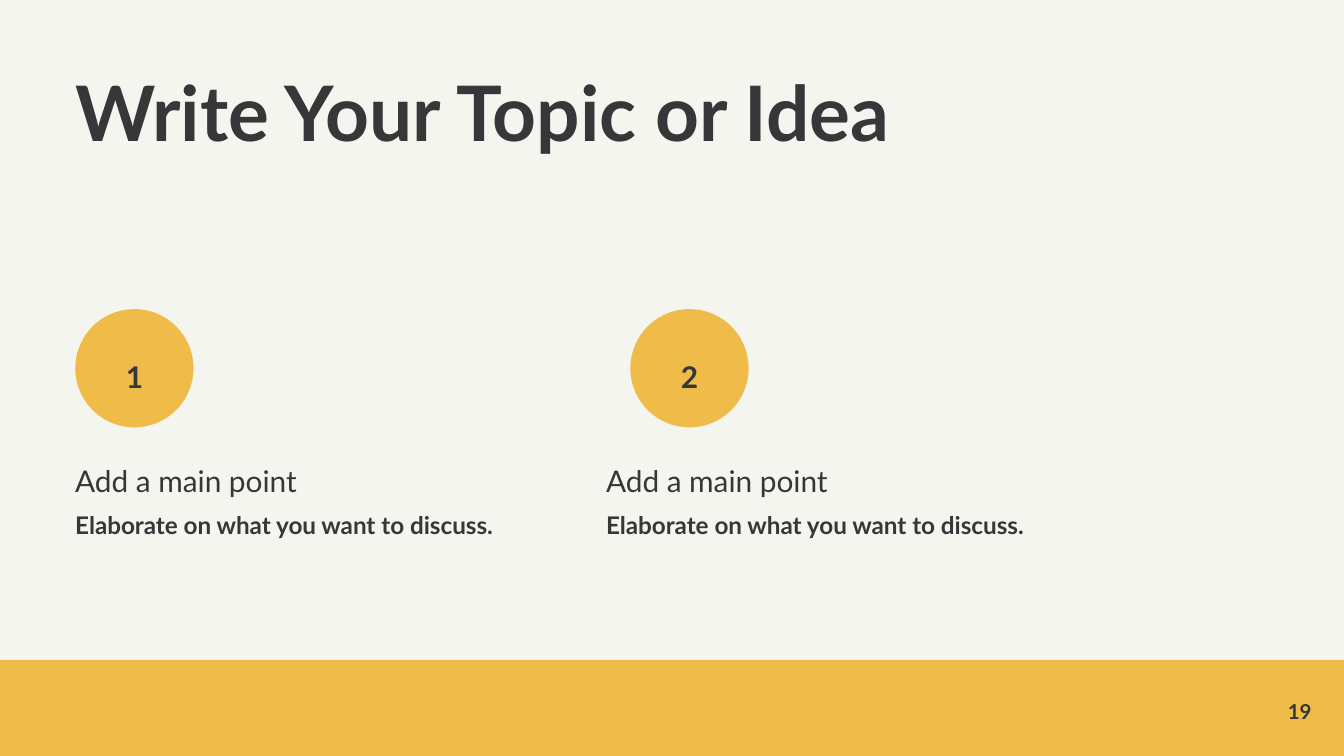
from pptx import Presentation
from pptx.dml.color import RGBColor
from pptx.enum.shapes import MSO_SHAPE as Shape
from pptx.enum.text import MSO_ANCHOR as Anchor, PP_ALIGN as Align
from pptx.util import Inches, Pt

CREAM = RGBColor(0xF5, 0xF5, 0xEF)
YELLOW = RGBColor(0xEF, 0xBC, 0x49)
CHARCOAL = RGBColor(0x36, 0x37, 0x39)
FONT = "Lato"

TITLE = "Write Your Topic or Idea"
PAGE_NUMBER = "19"
POINTS = [
    {"number": "1", "heading": "Add a main point",
     "detail": "Elaborate on what you want to discuss.",
     "circle_left": 0.56, "text_left": 0.56},
    {"number": "2", "heading": "Add a main point",
     "detail": "Elaborate on what you want to discuss.",
     "circle_left": 4.69, "text_left": 4.51},
]
WIDTH = 10
HEIGHT = WIDTH * 9 / 16
BAND_TOP = 4.91
CIRCLE_TOP, CIRCLE_SIZE = 2.3, 0.88
NUMBER_WIDTH = 0.42


def add_filled(slide, preset, left, top, width, height):
    shape = slide.shapes.add_shape(
        preset, Inches(left), Inches(top), Inches(width), Inches(height))
    shape.shadow.inherit = False
    shape.fill.solid()
    shape.fill.fore_color.rgb = YELLOW
    shape.line.fill.background()


def add_text(slide, left, top, width, height, lines, spacing=1.0,
             align=Align.LEFT, anchor=Anchor.TOP):
    box = slide.shapes.add_textbox(
        Inches(left), Inches(top), Inches(width), Inches(height))
    frame = box.text_frame
    frame.word_wrap = True
    frame.vertical_anchor = anchor
    frame.margin_left = frame.margin_right = 0
    frame.margin_top = frame.margin_bottom = 0
    paragraph = frame.paragraphs[0]
    paragraph.alignment = align
    paragraph.line_spacing = spacing
    paragraph.font.name = FONT
    paragraph.font.color.rgb = CHARCOAL
    for index, (text, size, bold) in enumerate(lines):
        if index:
            paragraph.add_line_break()
        run = paragraph.add_run()
        run.text = text
        run.font.size = Pt(size)
        run.font.bold = bold


def main():
    deck = Presentation()
    deck.slide_width, deck.slide_height = Inches(WIDTH), Inches(HEIGHT)
    slide = deck.slides.add_slide(deck.slide_layouts[6])
    slide.background.fill.solid()
    slide.background.fill.fore_color.rgb = CREAM

    add_text(slide, 0.56, 0.56, 7.09, 0.79, [(TITLE, 41, True)], 0.9)
    add_filled(slide, Shape.RECTANGLE, 0, BAND_TOP, WIDTH, HEIGHT - BAND_TOP)

    for point in POINTS:
        left = point["circle_left"]
        add_filled(slide, Shape.OVAL, left, CIRCLE_TOP, CIRCLE_SIZE, CIRCLE_SIZE)
        number_left = left + (CIRCLE_SIZE - NUMBER_WIDTH) / 2
        add_text(slide, number_left, 2.6, NUMBER_WIDTH, 0.27,
                 [(point["number"], 16, True)], 1.25, Align.CENTER)
        add_text(slide, point["text_left"], 3.34, 3.46, 1.53,
                 [(point["heading"], 16, False), (point["detail"], 13, True)], 1.4)

    add_text(slide, 9.16, 5.19, 0.6, 0.2, [(PAGE_NUMBER, 11, True)],
             align=Align.RIGHT, anchor=Anchor.MIDDLE)
    deck.save("out.pptx")


if __name__ == "__main__":
    main()
